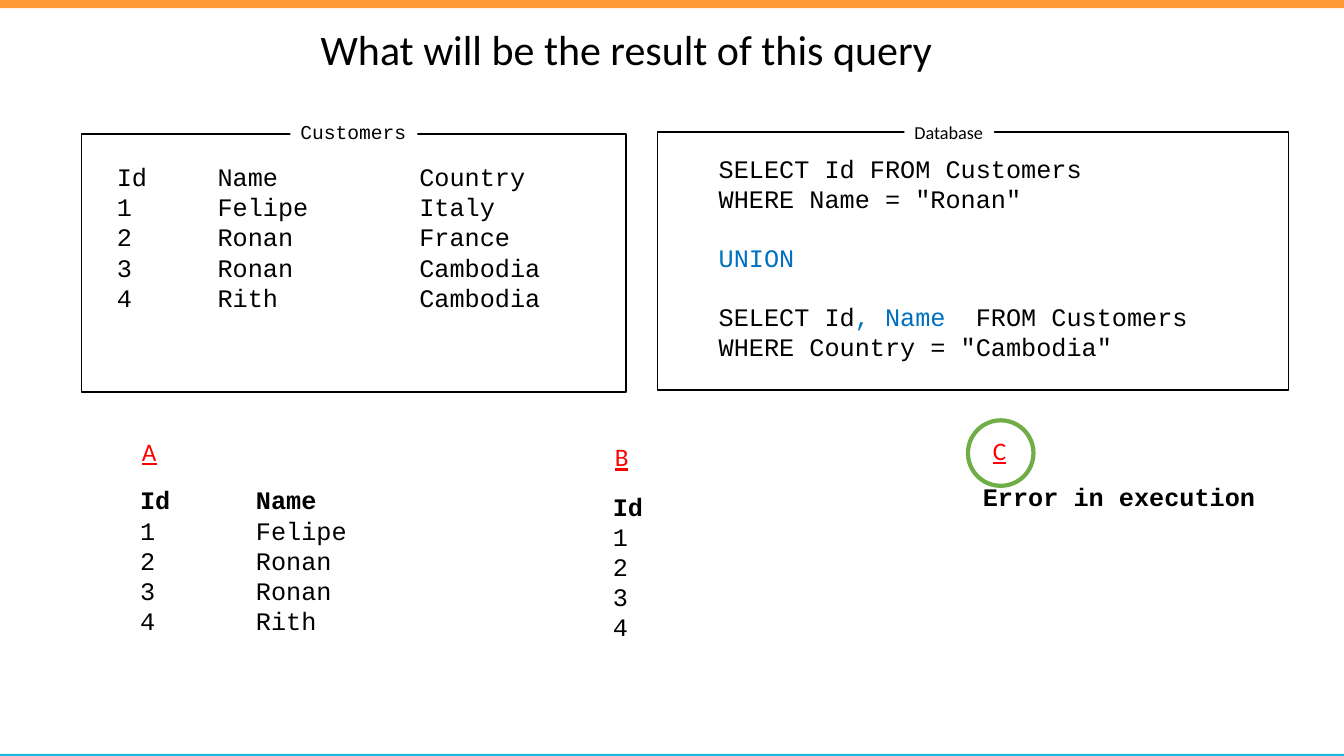
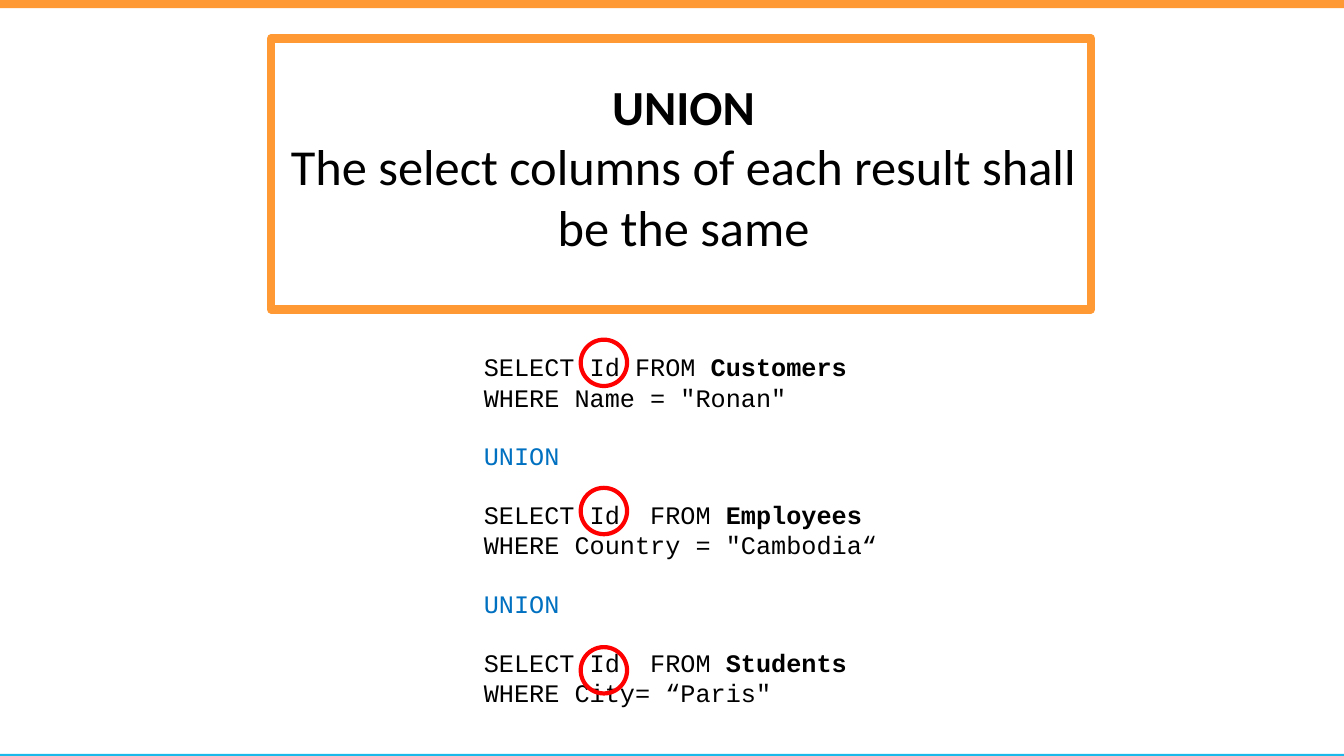
from lxml import etree
from pptx import Presentation
from pptx.dml.color import RGBColor
from pptx.enum.shapes import MSO_SHAPE as Shape
from pptx.enum.text import MSO_ANCHOR, MSO_AUTO_SIZE, PP_ALIGN
from pptx.oxml.ns import qn
from pptx.util import Emu, Inches, Pt

# Shared look
WIDTH, HEIGHT = 13.33, 7.5
BLACK, WHITE, RED, GREEN = "000000", "FFFFFF", "FF0000", "70AD47"
ORANGE, CYAN, BLUE = "FF9933", "1BB9EA", "0070C0"
SANS, MONO = "Calibri", "Courier New"
CODE_SIZE = 18
CODE_LINE = 20.4  # points from one code line to the next
BANDS = [(0, 0.08, ORANGE), (HEIGHT - 0.02, 0.02, CYAN)]
STYLES = {"plain": (BLACK, False), "bold": (BLACK, True), "key": (BLUE, False)}

# Content: a query is a list of blocks, a block a list of lines, a line a list of runs
UNION = [[("UNION", "key")]]
RONAN = [("WHERE Name = \"Ronan\"", "plain")]

QUIZ_TITLE = "What will be the result of this query"
CUSTOMERS = [
    ("Id", "Name", "Country"),
    ("1", "Felipe", "Italy"),
    ("2", "Ronan", "France"),
    ("3", "Ronan", "Cambodia"),
    ("4", "Rith", "Cambodia"),
]
QUIZ_QUERY = [
    [[("SELECT Id FROM Customers", "plain")], RONAN],
    UNION,
    [[("SELECT Id", "plain"), (", Name  ", "key"), ("FROM Customers", "plain")],
     [("WHERE Country = \"Cambodia\"", "plain")]],
]
# Frame box, caption, caption box, caption font and size
FRAMES = [
    ((0.81, 1.33, 5.4, 2.56), "Customers", (2.88, 1.14, 1.26, 0.34), MONO, 14),
    ((6.52, 1.31, 6.26, 2.56), "Database", (8.97, 1.15, 0.89, 0.32), SANS, 13),
]
# Letter, its left and top, answer box, answer rows
OPTIONS = [
    ("A", 1.31, 4.28, (1.29, 4.76, 2.62, 1.62), [row[:2] for row in CUSTOMERS]),
    ("B", 6.0, 4.33, (5.98, 4.82, 2.62, 1.62), [row[:1] for row in CUSTOMERS]),
    ("C", 9.75, 4.27, (9.65, 4.73, 3.6, 0.4), [("Error in execution",)]),
]

RULE = [("UNION", 35, True),
        ("The select columns of each result shall be the same", 36, False)]
RULE_QUERY = [
    [[("SELECT Id FROM ", "plain"), ("Customers", "bold")], RONAN],
    UNION,
    [[("SELECT Id  FROM ", "plain"), ("Employees", "bold")],
     [("WHERE Country = \"Cambodia“", "plain")]],
    UNION,
    [[("SELECT Id  FROM ", "plain"), ("Students", "bold")],
     [("WHERE City= “Paris\"", "plain")]],
]
ID_RING_TOPS = [3.37, 4.84, 6.42]


def rgb(code):
    return RGBColor.from_string(code)


def inches(box):
    return [Inches(value) for value in box]


def add_run(paragraph, text, size, font=MONO, color=BLACK, bold=False):
    run = paragraph.add_run()
    run.text = text
    run.font.name, run.font.size, run.font.bold = font, Pt(size), bold
    run.font.color.rgb = rgb(color)
    return run


def add_outline(slide, kind, box, fill=None, line=None, weight=1):
    shape = slide.shapes.add_shape(kind, *inches(box))
    shape.shadow.inherit = False
    if fill:
        shape.fill.solid()
        shape.fill.fore_color.rgb = rgb(fill)
    else:
        shape.fill.background()
    if line:
        shape.line.color.rgb = rgb(line)
        shape.line.width = Pt(weight)
    else:
        shape.line.fill.background()
    return shape


def add_text(slide, box, wrap=True):
    frame = slide.shapes.add_textbox(*inches(box)).text_frame
    frame.word_wrap = wrap
    return frame


def next_paragraph(frame):
    first = frame.paragraphs[0]
    return frame.add_paragraph() if first.runs else first


def place_title(slide, box, align):
    title = slide.shapes.title
    title.left, title.top, title.width, title.height = inches(box)
    frame = title.text_frame
    frame.word_wrap = True
    frame.auto_size = MSO_AUTO_SIZE.NONE
    frame.vertical_anchor = MSO_ANCHOR.TOP

    def add_line(text, size, bold=False):
        paragraph = next_paragraph(frame)
        paragraph.alignment = align
        add_run(paragraph, text, size, SANS, bold=bold)
    return add_line


def add_query(slide, box, blocks):
    """Write the query, with one line of space between its blocks."""
    frame = add_text(slide, box, wrap=False)
    for block_index, block in enumerate(blocks):
        for line_index, line in enumerate(block):
            paragraph = next_paragraph(frame)
            if block_index and not line_index:
                paragraph.space_before = Pt(CODE_LINE)
            for text, style in line:
                color, bold = STYLES[style]
                add_run(paragraph, text, CODE_SIZE, color=color, bold=bold)


def add_records(slide, box, rows, stops, bold_head=False):
    """Write rows of fields in columns that start at the tab stops."""
    frame = add_text(slide, box)
    for index, row in enumerate(rows):
        paragraph = next_paragraph(frame)
        add_run(paragraph, "\t".join(row), CODE_SIZE, bold=bold_head and index == 0)
        tabs = etree.SubElement(paragraph._p.get_or_add_pPr(), qn("a:tabLst"))
        for stop in stops:
            etree.SubElement(tabs, qn("a:tab"), pos=str(Inches(stop)), algn="l")


def new_slide(deck):
    slide = deck.slides.add_slide(deck.slide_layouts[5])
    for top, height, color in BANDS:
        add_outline(slide, Shape.RECTANGLE, (0, top, WIDTH, height), fill=color)
    return slide


def build_quiz(deck):
    slide = new_slide(deck)
    add_title_line = place_title(slide, (3.08, 0.18, 6.47, 0.61), PP_ALIGN.LEFT)
    add_title_line(QUIZ_TITLE, 30)

    # Framed table and query
    for box, caption, caption_box, font, size in FRAMES:
        add_outline(slide, Shape.RECTANGLE, box, line=BLACK)
        label = add_outline(slide, Shape.RECTANGLE, caption_box, fill=WHITE).text_frame
        label.word_wrap = False
        label.vertical_anchor = MSO_ANCHOR.TOP
        label.paragraphs[0].alignment = PP_ALIGN.LEFT
        add_run(label.paragraphs[0], caption, size, font)
    add_records(slide, (1.06, 1.55, 5.25, 1.62), CUSTOMERS, (1, 3))
    add_query(slide, (7.03, 1.47, 4.88, 2.22), QUIZ_QUERY)

    # Answers, the right one ringed
    for letter, left, top, answer_box, rows in OPTIONS:
        heading = add_text(slide, (left, top, 0.35, 0.4), wrap=False)
        run = add_run(heading.paragraphs[0], letter, CODE_SIZE, SANS, RED)
        run.font.underline = True
        add_records(slide, answer_box, rows, (1.15,), bold_head=True)
    add_outline(slide, Shape.OVAL, (9.6, 4.17, 0.65, 0.65), line=GREEN, weight=3)


def build_rule(deck):
    slide = new_slide(deck)
    panel = add_outline(slide, Shape.RECTANGLE, (2.69, 0.38, 8.13, 2.69),
                        fill=WHITE, line=ORANGE, weight=6)
    color = panel.fill._xPr.find(qn("a:solidFill"))[0]
    etree.SubElement(color, qn("a:alpha"), val="74000")

    # Rule, in front of its panel
    add_title_line = place_title(slide, (2.74, 0.71, 8.08, 1.9), PP_ALIGN.CENTER)
    for text, size, bold in RULE:
        add_title_line(text, size, bold)
    panel._element.addnext(slide.shapes.title._element)

    # Query with its selected columns ringed
    add_query(slide, (4.7, 3.44, 4.12, 4.04), RULE_QUERY)
    for top in ID_RING_TOPS:
        add_outline(slide, Shape.OVAL, (5.76, top, 0.46, 0.46), line=RED, weight=3)


def main():
    deck = Presentation()
    deck.slide_width, deck.slide_height = Emu(Inches(WIDTH)), Emu(Inches(HEIGHT))
    build_quiz(deck)
    build_rule(deck)
    deck.save("out.pptx")


if __name__ == "__main__":
    main()
